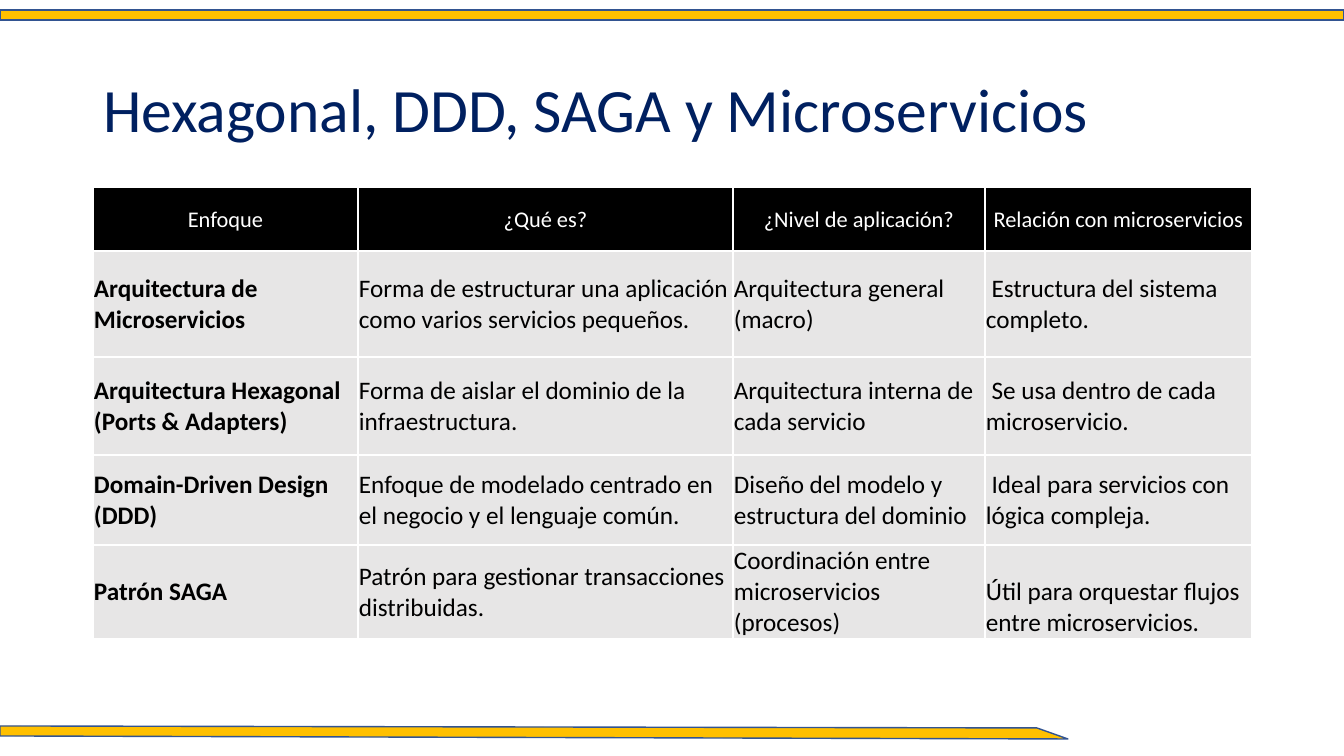
from lxml.etree import SubElement
from pptx import Presentation
from pptx.dml.color import RGBColor
from pptx.enum.shapes import MSO_SHAPE
from pptx.enum.text import MSO_ANCHOR, PP_ALIGN
from pptx.oxml.ns import qn
from pptx.util import Pt

# Content
TITLE = "Hexagonal, DDD, SAGA y Microservicios"
ROWS = [
    ("Enfoque", "¿Qué es?", "¿Nivel de aplicación?", "Relación con microservicios"),
    ("Arquitectura de Microservicios",
     "Forma de estructurar una aplicación como varios servicios pequeños.",
     "Arquitectura general (macro)",
     " Estructura del sistema completo."),
    ("Arquitectura Hexagonal (Ports & Adapters)",
     "Forma de aislar el dominio de la infraestructura.",
     "Arquitectura interna de cada servicio",
     " Se usa dentro de cada microservicio."),
    ("Domain-Driven Design (DDD)",
     "Enfoque de modelado centrado en el negocio y el lenguaje común.",
     "Diseño del modelo y estructura del dominio",
     " Ideal para servicios con lógica compleja."),
    ("Patrón SAGA",
     "Patrón para gestionar transacciones distribuidas.",
     "Coordinación entre microservicios (procesos)",
     "Útil para orquestar flujos entre microservicios."),
]
COLORS = {"gold": "FFC000", "outline": "325491", "navy": "002060",
          "black": "000000", "white": "FFFFFF", "grey": "E7E6E6"}
FONT = "Calibri"

# Layout in px
PX = 914400 / 100.8
SLIDE_WIDTH, SLIDE_HEIGHT = 1344, 756
LEFT, TABLE_TOP = 93, 187
COLUMN_WIDTHS = [265, 375, 252, 267]
ROW_HEIGHTS = [64, 106, 98, 90, 92]
FOOTER_POINTS = [(0, 726), (1037, 728), (1068, 739), (0, 736)]


def emu(*lengths):
    return [round(length * PX) for length in lengths]


def color(name):
    return RGBColor.from_string(COLORS[name])


def style_band(band):
    band.shadow.inherit = False
    band.fill.solid()
    band.fill.fore_color.rgb = color("gold")
    band.line.color.rgb = color("outline")
    band.line.width = Pt(1)


def style_font(font, size, name, bold=False):
    font.name, font.size, font.bold = FONT, Pt(size), bold
    font.color.rgb = color(name)


def add_borders(cell):
    properties = cell._tc.get_or_add_tcPr()
    for position, side in enumerate(("lnL", "lnR", "lnT", "lnB")):
        line = SubElement(properties, qn(f"a:{side}"), w=str(Pt(1)))
        fill = SubElement(line, qn("a:solidFill"))
        SubElement(fill, qn("a:srgbClr"), val=COLORS["white"])
        properties.insert(position, line)


deck = Presentation()
deck.slide_width, deck.slide_height = emu(SLIDE_WIDTH, SLIDE_HEIGHT)
page = deck.slides.add_slide(deck.slide_layouts[5])

# Gold bands at top and bottom
style_band(page.shapes.add_shape(MSO_SHAPE.RECTANGLE, *emu(0, 10, SLIDE_WIDTH, 10)))
builder = page.shapes.build_freeform(*FOOTER_POINTS[0], scale=PX)
builder.add_line_segments(FOOTER_POINTS[1:], close=True)
style_band(builder.convert_to_shape())

# Title
title = page.shapes.title
title.left, title.top, title.width, title.height = emu(LEFT, 40, sum(COLUMN_WIDTHS), 146)
frame = title.text_frame
frame.text = TITLE
frame.word_wrap = True
frame.vertical_anchor = MSO_ANCHOR.MIDDLE
para = frame.paragraphs[0]
para.alignment = PP_ALIGN.LEFT
para.line_spacing = 0.9
style_font(para.runs[0].font, 44, "navy")

# Comparison table
table = page.shapes.add_table(
    len(ROWS), len(COLUMN_WIDTHS),
    *emu(LEFT, TABLE_TOP, sum(COLUMN_WIDTHS), sum(ROW_HEIGHTS))).table
for column, width in zip(table.columns, emu(*COLUMN_WIDTHS)):
    column.width = width
for row, height in zip(table.rows, emu(*ROW_HEIGHTS)):
    row.height = height

for r, texts in enumerate(ROWS):
    header = r == 0
    for c, text in enumerate(texts):
        cell = table.cell(r, c)
        cell.text = text
        cell.margin_left, cell.margin_right, cell.margin_top, cell.margin_bottom = emu(1, 1, 1, 0)
        cell.vertical_anchor = MSO_ANCHOR.MIDDLE
        cell.fill.solid()
        cell.fill.fore_color.rgb = color("black" if header else "grey")
        add_borders(cell)
        para = cell.text_frame.paragraphs[0]
        para.alignment = PP_ALIGN.CENTER if header else PP_ALIGN.LEFT
        style_font(para.runs[0].font, 16 if header else 18,
                   "white" if header else "black", bold=not header and c == 0)
table.cell(len(ROWS) - 1, len(COLUMN_WIDTHS) - 1).vertical_anchor = MSO_ANCHOR.BOTTOM

deck.save("out.pptx")
